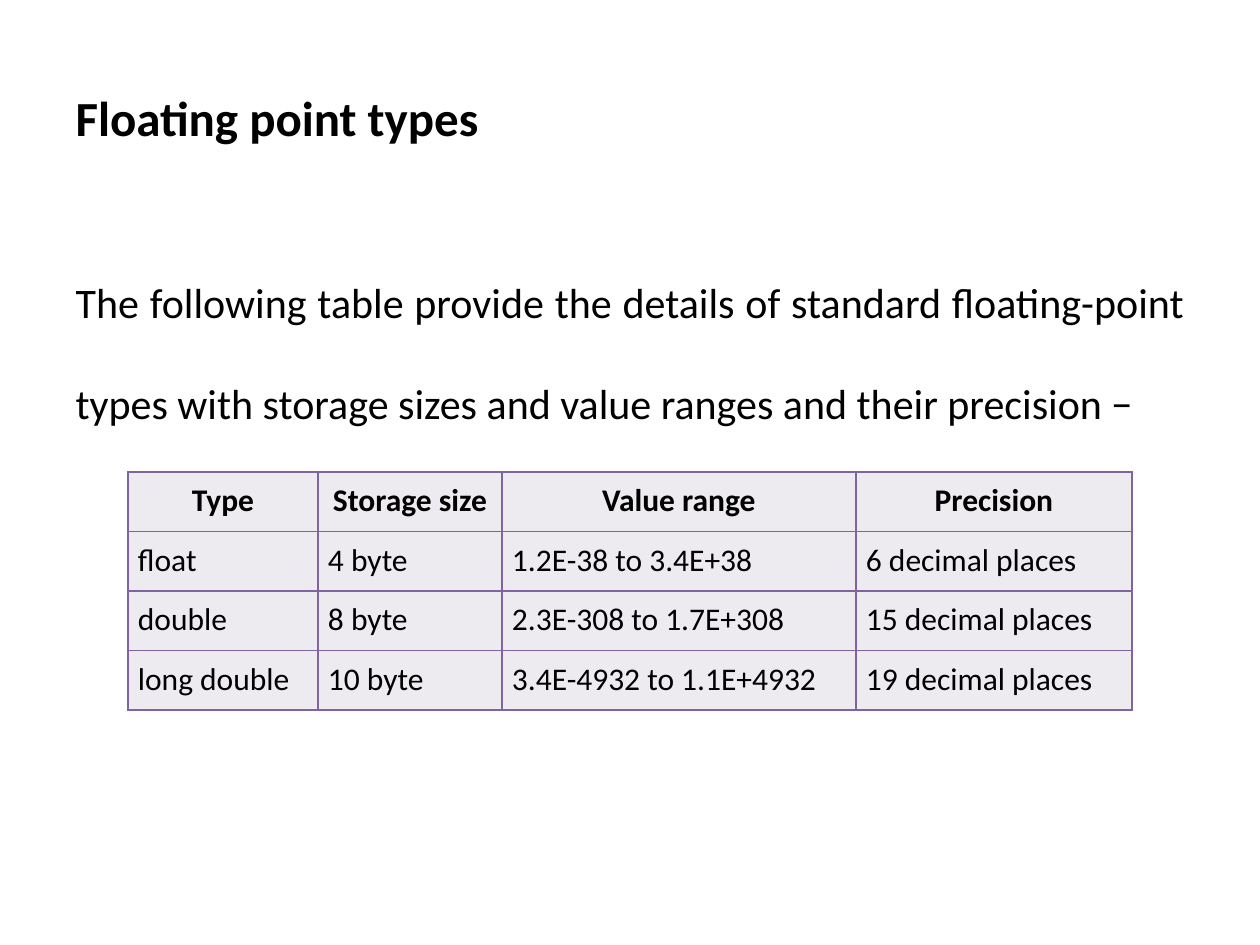
from dataclasses import dataclass

import lxml.etree
import pptx
import pptx.dml.color
import pptx.enum.text
import pptx.oxml.ns
import pptx.util

PX = 914400 / 126
FONT = "Calibri"
COLORS = {"text": "000000", "cell": "EDEAF0", "border": "8064A2"}
ALIGN = pptx.enum.text.PP_ALIGN
ANCHOR = pptx.enum.text.MSO_ANCHOR
CELL_MARGIN = 10


@dataclass(frozen=True)
class Column:
    width: int
    heading: str
    values: tuple[str, ...]


COLUMNS = (
    Column(190, "Type", ("float", "double", "long double")),
    Column(184, "Storage size", ("4 byte", "8 byte", "10 byte")),
    Column(354, "Value range",
           ("1.2E-38 to 3.4E+38", "2.3E-308 to 1.7E+308", "3.4E-4932 to 1.1E+4932")),
    Column(276, "Precision",
           ("6 decimal places", "15 decimal places", "19 decimal places")),
)


def emu(px: int) -> int:
    return round(px * PX)


def place(shape, left: int, top: int, width: int, height: int) -> None:
    shape.left, shape.top = emu(left), emu(top)
    shape.width, shape.height = emu(width), emu(height)


def write(frame, text: str, size: int, align, bold: bool = False):
    """Put one formatted span in the first paragraph and return that paragraph."""
    para = frame.paragraphs[0]
    para.alignment = align
    span = para.add_run()
    span.text = text
    span.font.name = FONT
    span.font.size = pptx.util.Pt(size)
    span.font.bold = bold
    span.font.color.rgb = pptx.dml.color.RGBColor.from_string(COLORS["text"])
    return para


def remove_bullet(para) -> None:
    properties = para._p.get_or_add_pPr()
    properties.set("marL", "0")
    properties.set("indent", "0")
    lxml.etree.SubElement(properties, pptx.oxml.ns.qn("a:buNone"))


def draw_borders(cell) -> None:
    properties = cell._tc.get_or_add_tcPr()
    for position, side in enumerate(("lnL", "lnR", "lnT", "lnB")):
        line = lxml.etree.Element(pptx.oxml.ns.qn(f"a:{side}"), w=str(pptx.util.Pt(1)))
        fill = lxml.etree.SubElement(line, pptx.oxml.ns.qn("a:solidFill"))
        lxml.etree.SubElement(fill, pptx.oxml.ns.qn("a:srgbClr"), val=COLORS["border"])
        properties.insert(position, line)


def fill_cell(cell, text: str, is_heading: bool) -> None:
    cell.margin_left = cell.margin_right = emu(CELL_MARGIN)
    cell.margin_top = cell.margin_bottom = emu(CELL_MARGIN)
    cell.fill.solid()
    cell.fill.fore_color.rgb = pptx.dml.color.RGBColor.from_string(COLORS["cell"])
    draw_borders(cell)
    write(cell.text_frame, text, 18, ALIGN.CENTER if is_heading else ALIGN.LEFT, is_heading)


def add_type_table(page, left: int, top: int, height: int) -> None:
    row_count = 1 + len(COLUMNS[0].values)
    width = sum(column.width for column in COLUMNS)
    table = page.shapes.add_table(
        row_count, len(COLUMNS), emu(left), emu(top), emu(width), emu(height)).table
    for x, column in enumerate(COLUMNS):
        table.columns[x].width = emu(column.width)
        for y, text in enumerate((column.heading, *column.values)):
            fill_cell(table.cell(y, x), text, y == 0)


def main() -> None:
    deck = pptx.Presentation()
    deck.slide_width, deck.slide_height = emu(1260), emu(945)
    page = deck.slides.add_slide(deck.slide_layouts[1])

    title = page.shapes.title
    place(title, 63, 38, 1134, 158)
    title.text_frame.vertical_anchor = ANCHOR.MIDDLE
    write(title.text_frame, "Floating point types", 28, ALIGN.LEFT, bold=True)

    body = page.placeholders[1]
    place(body, 63, 220, 1134, 624)
    body.text_frame.auto_size = pptx.enum.text.MSO_AUTO_SIZE.NONE
    intro = write(
        body.text_frame,
        "The following table provide the details of standard floating-point types "
        "with storage sizes and value ranges and their precision −",
        24, ALIGN.JUSTIFY)
    intro.level = 2
    intro.line_spacing = 2.0
    intro.space_before = pptx.util.Pt(4.8)
    remove_bullet(intro)

    add_type_table(page, 128, 472, 238)
    deck.save("out.pptx")


if __name__ == "__main__":
    main()
